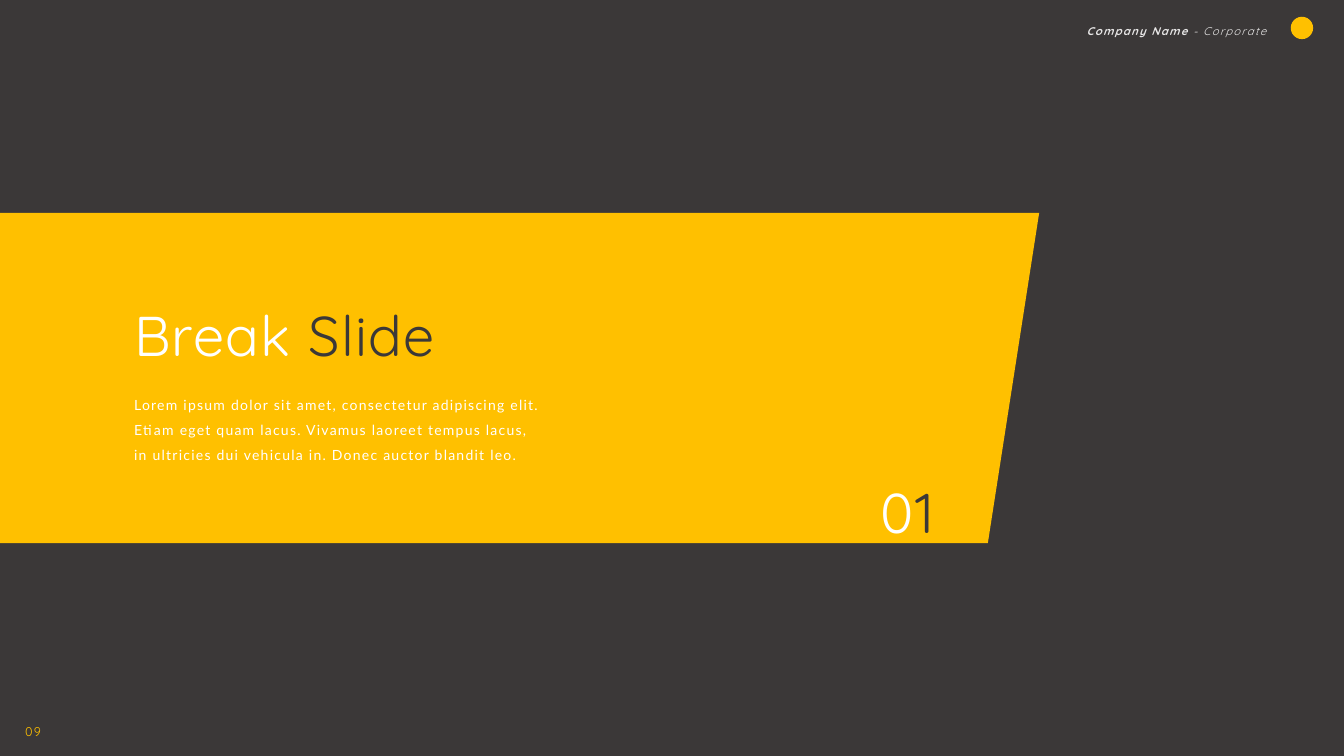
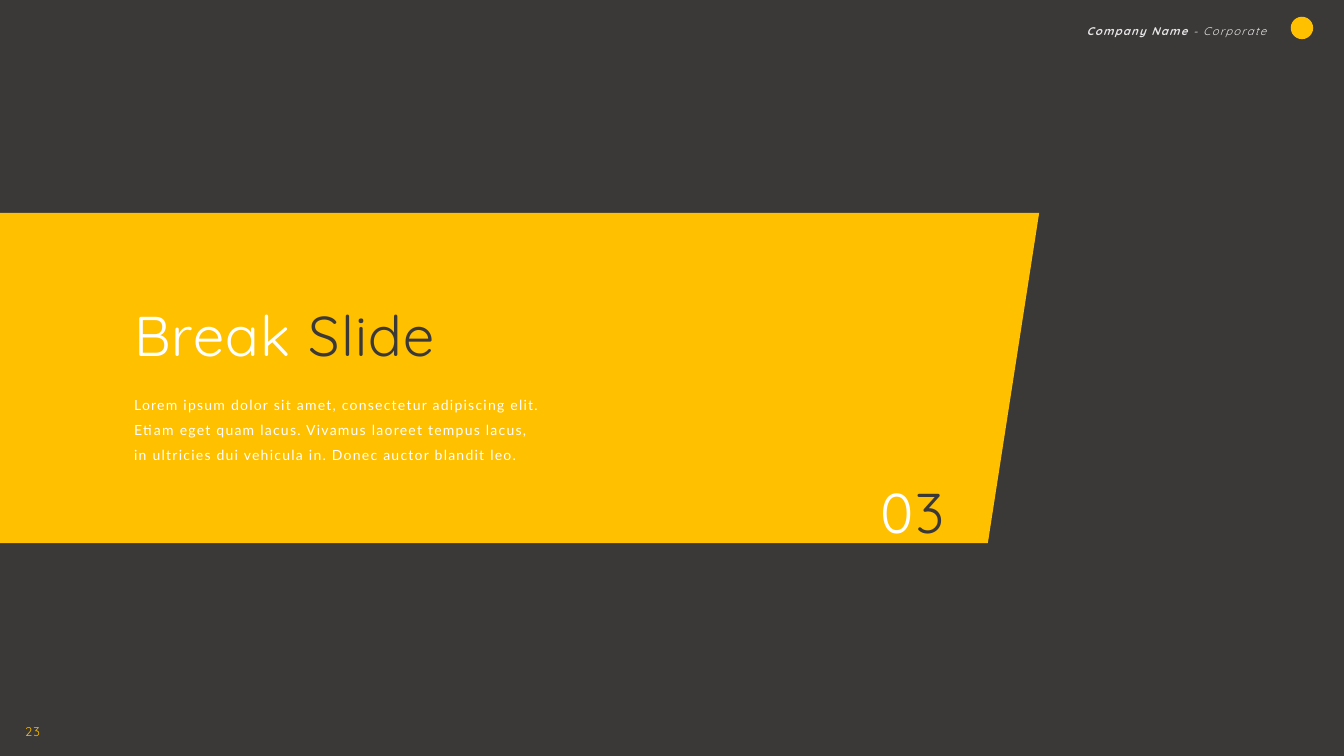
from pptx import Presentation
from pptx.dml.color import RGBColor as Rgb
from pptx.enum.shapes import MSO_SHAPE as Shape
from pptx.enum.text import MSO_ANCHOR as Anchor, MSO_AUTO_SIZE as Fit, PP_ALIGN as Align
from pptx.util import Pt

HEX = {"dark": "3B3838", "gold": "FFC000", "pale": "E7E6E6", "white": "FFFFFF"}
HEAD, BODY = "Quicksand", "Lato"
TITLE = [("Break ", "white"), ("Slide", "dark")]
TEXT = [("Lorem ipsum dolor sit amet, consectetur adipiscing elit. "
         "Etiam eget quam lacus. Vivamus laoreet tempus lacus, "
         "in ultricies dui vehicula in. Donec auctor blandit leo.", "white")]
BRAND = [("Company Name ", "pale", True), ("- Corporate", "pale")]
BREAKS = [{"page": "09", "part": "01"}, {"page": "23", "part": "03"}]
BAND = [(0, 152), (742.3, 152), (705.6, 388), (0, 388)]


def paint(shape, color):
    shape.shadow.inherit = False
    shape.fill.solid()
    shape.fill.fore_color.rgb = Rgb.from_string(HEX[color])
    shape.line.fill.background()


def write(shape, box, runs, size, font=HEAD, align=Align.LEFT, italic=False):
    shape.left, shape.top, shape.width, shape.height = map(Pt, box)
    frame = shape.text_frame
    frame.word_wrap = True
    frame.auto_size = Fit.NONE
    frame.vertical_anchor = Anchor.TOP
    para = frame.paragraphs[0]
    para.alignment = align
    para.line_spacing = 1.5
    para.space_before = Pt(0)
    for text, color, *bold in runs:
        run = para.add_run()
        run.text = text
        face = run.font
        face.name, face.size = font, Pt(size)
        face.bold, face.italic = bool(bold), italic
        face.color.rgb = Rgb.from_string(HEX[color])
        props = run._r.get_or_add_rPr()
        props.set("spc", "90")
        props.set("cap", "none")


def label(slide, box, runs, size, **look):
    write(slide.shapes.add_textbox(0, 0, 0, 0), box, runs, size, **look)


def draw_band(slide):
    first, *rest = [(Pt(x), Pt(y)) for x, y in BAND]
    path = slide.shapes.build_freeform(*first)
    path.add_line_segments(rest, close=True)
    band = path.convert_to_shape()
    paint(band, "gold")
    slide.shapes._spTree.insert(2, band._element)


def add_break(deck, page, part):
    slide = deck.slides.add_slide(deck.slide_layouts.get_by_name("Section Header"))
    draw_band(slide)
    mark = slide.shapes.add_shape(Shape.OVAL, Pt(922), Pt(12), Pt(16), Pt(16))
    paint(mark, "gold")
    label(slide, (766, 9.4, 145.6, 20), BRAND, 8, align=Align.RIGHT, italic=True)
    label(slide, (10.8, 508.3, 38, 21.6), [(page, "gold")], 9)
    write(slide.shapes.title, (88.6, 187.2, 293, 72), TITLE, 40)
    write(slide.placeholders[1], (88.6, 273.6, 304.6, 60), TEXT, 10, font=BODY)
    label(slide, (622, 313.9, 83.5, 72), list(zip(part, ("white", "dark"))), 40)


def main():
    deck = Presentation()
    deck.slide_width, deck.slide_height = Pt(960), Pt(540)
    fill = deck.slide_master.background.fill
    fill.solid()
    fill.fore_color.rgb = Rgb.from_string(HEX["dark"])
    for item in BREAKS:
        add_break(deck, **item)
    deck.save("out.pptx")


if __name__ == "__main__":
    main()
